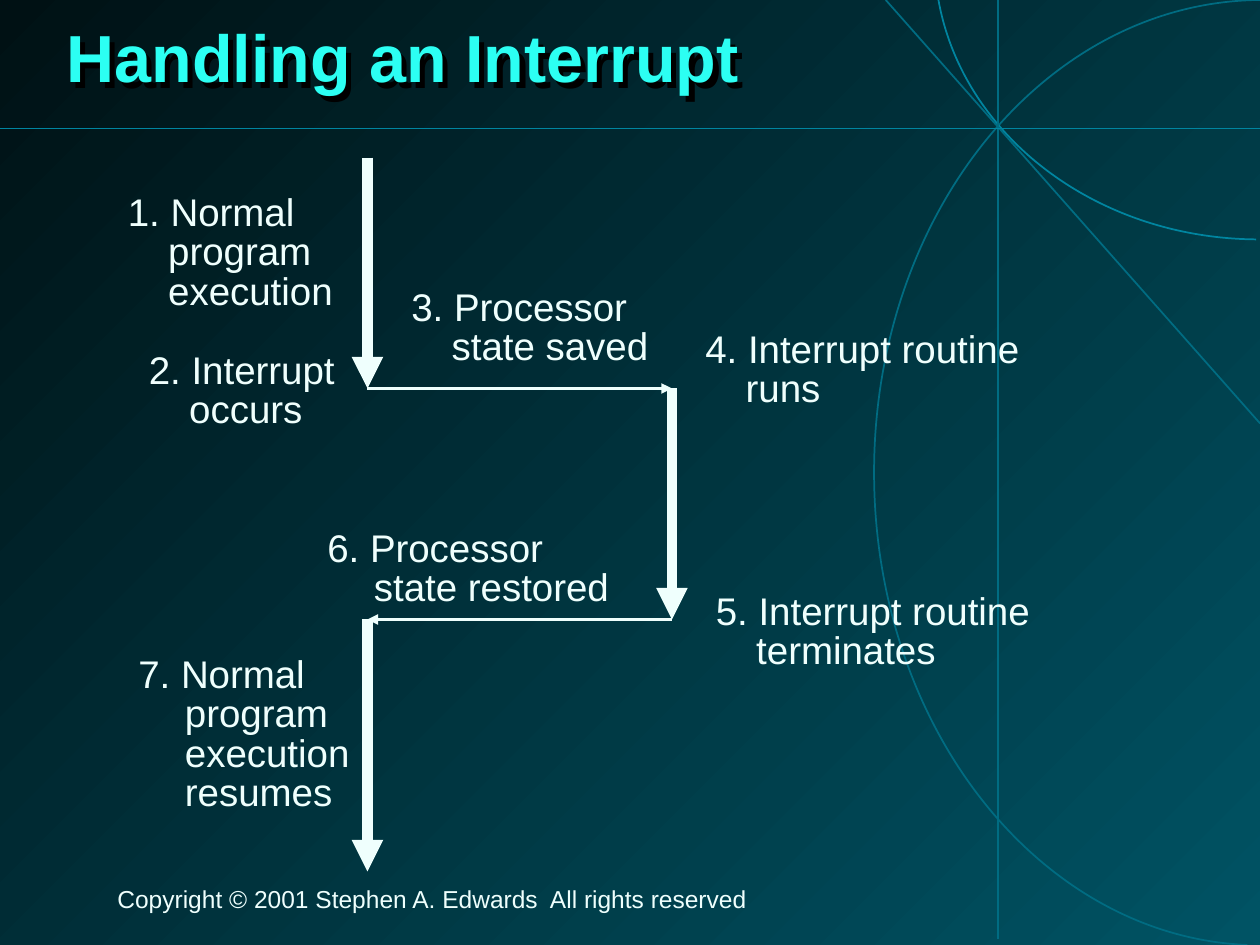
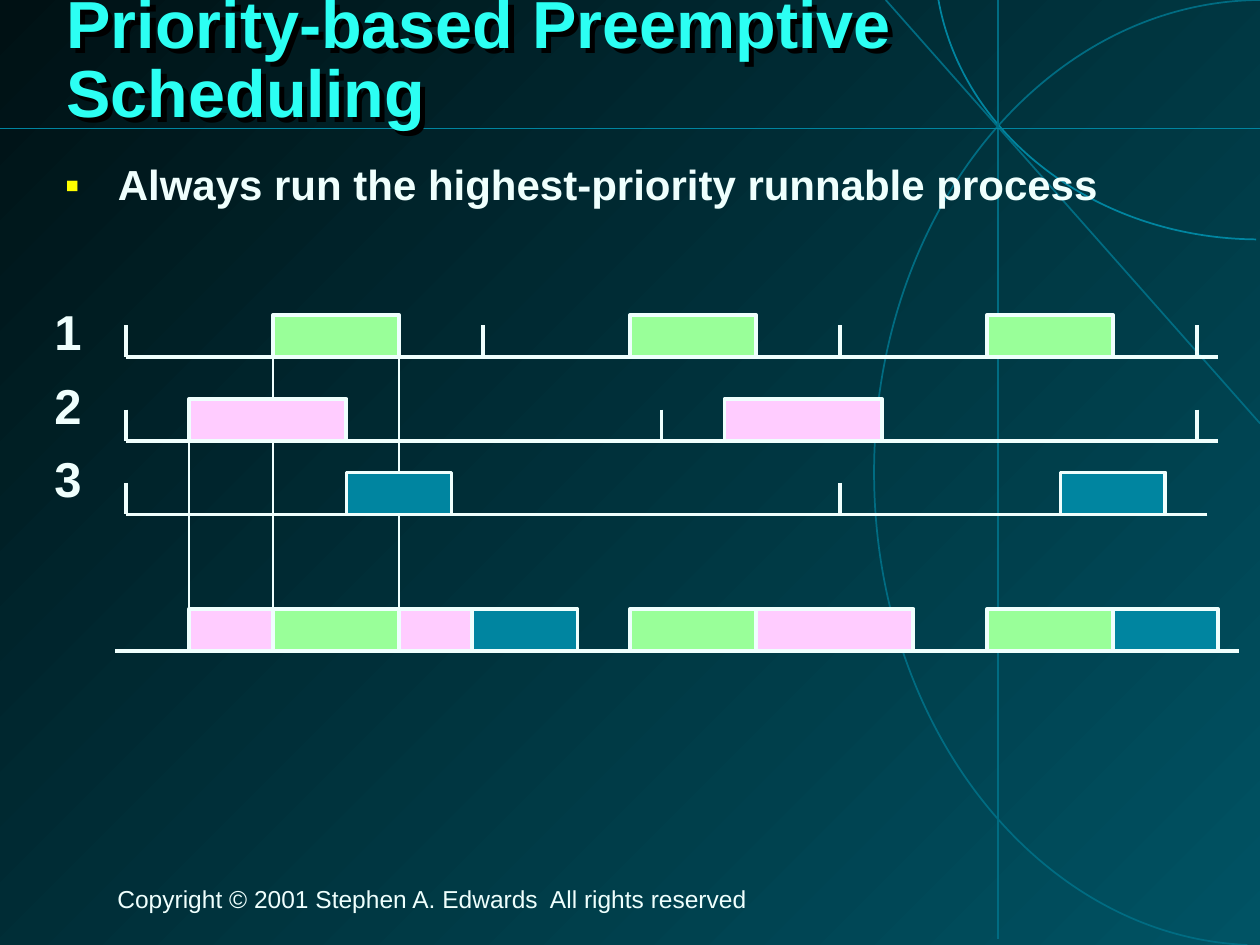
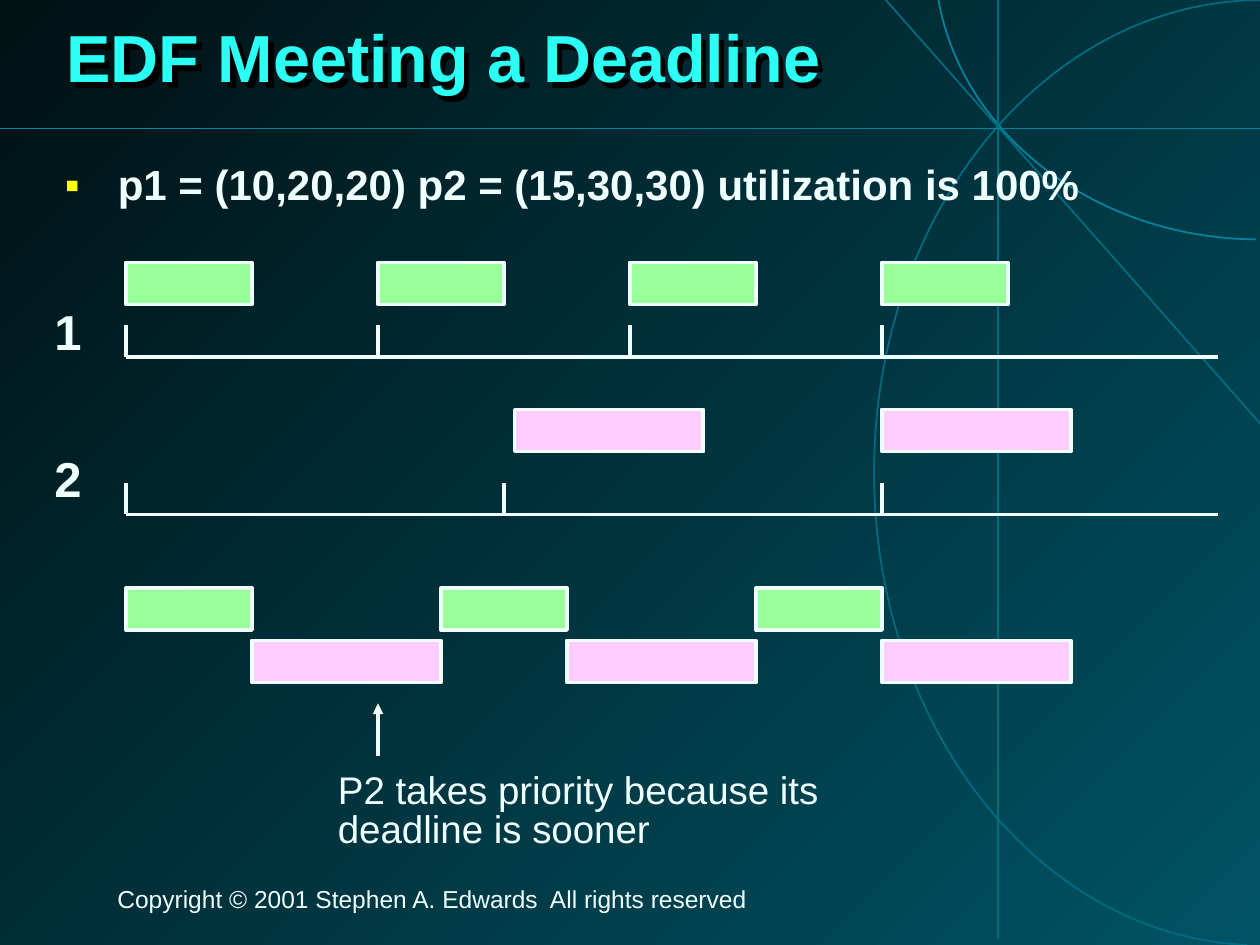
from dataclasses import dataclass

from lxml import etree
from pptx import Presentation
from pptx.dml.color import RGBColor
from pptx.enum.shapes import MSO_CONNECTOR, MSO_SHAPE
from pptx.enum.text import MSO_ANCHOR, MSO_AUTO_SIZE
from pptx.oxml.ns import qn
from pptx.presentation import Presentation as Deck
from pptx.slide import Slide
from pptx.util import Emu, Inches, Pt

STRAIGHT = MSO_CONNECTOR.STRAIGHT
RECTANGLE = MSO_SHAPE.RECTANGLE
MIDDLE, TOP = MSO_ANCHOR.MIDDLE, MSO_ANCHOR.TOP
GROW, FIXED = MSO_AUTO_SIZE.SHAPE_TO_FIT_TEXT, MSO_AUTO_SIZE.NONE

SLIDE_WIDTH, SLIDE_HEIGHT = Inches(10), Inches(7.5)
COLUMNS = 120
CELL = SLIDE_WIDTH / COLUMNS

FONT = "Arial"
INK, CYAN, YELLOW, BLACK = "EFFFFD", "2CFFF3", "FFFF00", "000000"
DARK, DEEP = "001114", "005364"
DIM, TEAL = "006C82", "0085A0"
GREEN, PINK = "99FF99", "FFCCFF"

THIN, RULE, ARROW, HEAVY = 1, 2.25, 2, 6
BLOCK_ROWS, TICK_ROWS = 4, 3
FIRST_TICK = 12
COPYRIGHT = "Copyright © 2001 Stephen A. Edwards  All rights reserved"


@dataclass(frozen=True)
class Box:
    col: float
    row: float
    cols: float
    rows: float


@dataclass(frozen=True)
class TextStyle:
    size: float
    color: str = INK
    bold: bool = False
    spacing: float = 0.85
    before: float = 0
    hanging: float = 0
    bullet: str = ""
    anchor: MSO_ANCHOR = TOP
    fit: MSO_AUTO_SIZE = GROW


@dataclass(frozen=True)
class Line:
    start: tuple[float, float]
    end: tuple[float, float]
    width: float = RULE
    color: str = INK
    arrow: bool = False


@dataclass(frozen=True)
class Curve:
    points: tuple[tuple[float, float], ...]
    color: str


@dataclass(frozen=True)
class Step:
    text: str
    col: float
    row: float
    cols: float
    lines: int = 2
    hanging: float = 0.32


@dataclass(frozen=True)
class Block:
    col: float
    row: float
    cols: float
    color: str


@dataclass(frozen=True)
class Lane:
    label: str
    label_row: float
    baseline: float
    end: float
    ticks: range
    blocks: tuple[Block, ...]


TITLE = TextStyle(38, CYAN, True, spacing=0.87, anchor=MIDDLE, fit=FIXED)
BODY = TextStyle(24, bold=True, spacing=0.93, before=15, hanging=0.42, bullet="▪", fit=FIXED)
FOOTER = TextStyle(14, before=8.8)
LABEL = TextStyle(28, bold=True, before=17.5)
NOTE_SIZE, NOTE_BEFORE = 22, 13.8

TITLE_BOX = Box(5.16, 0, 110.52, 11.8)
BODY_BOX = Box(5, 14.95, 109.44, 67)
FOOTER_BOX = Box(10, 84, 97, 3.6)

BACKDROP_CURVES = (
    Curve(((118.8, 90), (99, 89.16), (83.25, 69.24), (83.25, 45),
           (83.25, 20.16), (99.72, 0), (120.24, 0)), DIM),
    Curve(((119.64, 22.8), (104.28, 22.68), (91.32, 12.72), (89.28, -0.6)), TEAL),
)
BACKDROP_LINES = (
    Line((120, 40.32), (84.36, 0), THIN, DIM),
    Line((95.05, 0), (95.05, 89.4), THIN, DIM),
    Line((0, 12.25), (120, 12.25), THIN, TEAL),
)

PROGRAM, ROUTINE = 35, 64
INTERRUPTED, RESUMED = 37, 59
FLOW = (
    Line((PROGRAM, 15), (PROGRAM, INTERRUPTED), HEAVY, arrow=True),
    Line((PROGRAM, RESUMED), (PROGRAM, 83), HEAVY, arrow=True),
    Line((ROUTINE, INTERRUPTED), (ROUTINE, RESUMED), HEAVY, arrow=True),
    Line((PROGRAM, INTERRUPTED), (ROUTINE, INTERRUPTED), ARROW, arrow=True),
    Line((ROUTINE, RESUMED), (PROGRAM, RESUMED), ARROW, arrow=True),
)
STEPS = (
    Step("1. Normal program execution", 11, 18, 28, lines=3),
    Step("2. Interrupt occurs", 13, 33, 22),
    Step("3. Processor state saved", 38, 27, 28),
    Step("4. Interrupt routine runs", 66, 31, 35),
    Step("5. Interrupt routine terminates", 67, 56, 34),
    Step("6. Processor state restored", 30, 50, 30, hanging=0.37),
    Step("7. Normal program execution resumes", 12, 62, 24, lines=4, hanging=0.37),
)


def every(period: int, stop: int = 115) -> range:
    return range(FIRST_TICK, stop, period)


def run_blocks(cols: tuple[int, ...] | range, row: float, width: float, color: str) -> tuple[Block, ...]:
    return tuple(Block(col, row, width, color) for col in cols)


PREEMPTIVE_LANES = (
    Lane("1", 29, 34, 116, every(34), run_blocks(range(26, 95, 34), 30, 12, GREEN)),
    Lane("2", 36, 42, 116, every(51), run_blocks((18, 69), 38, 15, PINK)),
    Lane("3", 43, 49, 115, every(68), run_blocks((33, 101), 45, 10, TEAL)),
)
SCHEDULE_ROW = 58
SCHEDULE_BASE = SCHEDULE_ROW + BLOCK_ROWS
PREEMPTIVE_SCHEDULE = (
    *run_blocks((18, 72), SCHEDULE_ROW, 15, PINK),
    *run_blocks((38,), SCHEDULE_ROW, 7, PINK),
    *run_blocks((26, 60, 94), SCHEDULE_ROW, 12, GREEN),
    *run_blocks((45, 106), SCHEDULE_ROW, 10, TEAL),
)
SWITCHES = (
    Line((18, 41), (18, 61), THIN),
    Line((26, 34), (26, SCHEDULE_ROW), THIN),
    Line((38, 34), (38, SCHEDULE_ROW), THIN),
)

EDF_LANES = (
    Lane("1", 29, 34, 116, every(24, 85), run_blocks(every(24, 85), 25, 12, GREEN)),
    Lane("2", 43, 49, 116, every(36, 85), run_blocks((49, 84), 39, 18, PINK)),
)
EDF_SCHEDULE = (
    *run_blocks(every(30, 73), 56, 12, GREEN),
    *run_blocks(range(24, 85, 30), 61, 18, PINK),
)


def rgb(value: str) -> RGBColor:
    return RGBColor.from_string(value)


def cells(count: float) -> Emu:
    return Emu(round(count * CELL))


def add_text(slide: Slide, text: str, box: Box, style: TextStyle):
    holder = slide.shapes.add_textbox(*map(cells, (box.col, box.row, box.cols, box.rows)))
    frame = holder.text_frame
    frame.word_wrap = True
    frame.auto_size = style.fit
    frame.vertical_anchor = style.anchor
    paragraph = frame.paragraphs[0]
    paragraph.line_spacing = style.spacing
    paragraph.space_before = Pt(style.before)
    properties = paragraph._p.get_or_add_pPr()
    if style.hanging:
        properties.set("marL", str(Inches(style.hanging)))
        properties.set("indent", str(-Inches(style.hanging)))
    if style.bullet:
        tint = etree.SubElement(properties, qn("a:buClr"))
        etree.SubElement(tint, qn("a:srgbClr"), val=YELLOW)
        etree.SubElement(properties, qn("a:buFont"), typeface=FONT)
        etree.SubElement(properties, qn("a:buChar"), char=style.bullet)
    run = paragraph.add_run()
    run.text = text
    run.font.name = FONT
    run.font.size = Pt(style.size)
    run.font.bold = style.bold
    run.font.color.rgb = rgb(style.color)
    return holder


def add_line(slide: Slide, line: Line) -> None:
    connector = slide.shapes.add_connector(STRAIGHT, *map(cells, (*line.start, *line.end)))
    connector.line.color.rgb = rgb(line.color)
    connector.line.width = Pt(line.width)
    if line.arrow:
        etree.SubElement(connector.line._get_or_add_ln(), qn("a:tailEnd"), type="triangle")
    etree.SubElement(connector._element.spPr, qn("a:effectLst"))


def add_curve(slide: Slide, curve: Curve) -> None:
    start, *controls = [(cells(col), cells(row)) for col, row in curve.points]
    builder = slide.shapes.build_freeform(*start)
    builder.add_line_segments(controls, close=False)
    arc = builder.convert_to_shape()
    segments = list(arc._element.iter(qn("a:lnTo")))
    for first in range(0, len(segments), 3):
        bezier = etree.SubElement(segments[first].getparent(), qn("a:cubicBezTo"))
        for segment in segments[first:first + 3]:
            bezier.append(segment[0])
            segment.getparent().remove(segment)
    arc.shadow.inherit = False
    arc.fill.background()
    arc.line.color.rgb = rgb(curve.color)
    arc.line.width = Pt(THIN)


def add_block(slide: Slide, block: Block) -> None:
    bar = slide.shapes.add_shape(RECTANGLE, *map(cells, (block.col, block.row, block.cols, BLOCK_ROWS)))
    bar.shadow.inherit = False
    bar.fill.solid()
    bar.fill.fore_color.rgb = rgb(block.color)
    bar.line.color.rgb = rgb(INK)
    bar.line.width = Pt(RULE)


def add_note(slide: Slide, step: Step) -> None:
    box = Box(step.col, step.row, step.cols, 1.32 + 3.72 * step.lines)
    add_text(slide, step.text, box, TextStyle(NOTE_SIZE, before=NOTE_BEFORE, hanging=step.hanging))


def add_lanes(slide: Slide, lanes: tuple[Lane, ...]) -> None:
    for lane in lanes:
        add_line(slide, Line((lane.end, lane.baseline), (FIRST_TICK, lane.baseline)))
        for tick in lane.ticks:
            add_line(slide, Line((tick, lane.baseline - TICK_ROWS), (tick, lane.baseline)))
        for block in lane.blocks:
            add_block(slide, block)
        add_text(slide, lane.label, Box(4, lane.label_row, 7, 6), LABEL)


def add_title(slide: Slide, text: str) -> None:
    heading = add_text(slide, text, TITLE_BOX, TITLE)
    effects = etree.SubElement(heading._element.spPr, qn("a:effectLst"))
    shadow = etree.SubElement(effects, qn("a:outerShdw"), dist=str(Inches(0.06)), dir="2700000")
    etree.SubElement(shadow, qn("a:srgbClr"), val=BLACK)


def start_slide(deck: Deck, title: str) -> Slide:
    slide = deck.slides.add_slide(deck.slide_layouts[6])
    backdrop = slide.background.fill
    backdrop.gradient()
    backdrop.gradient_angle = 315
    for stop, color in zip(backdrop.gradient_stops, (DARK, DEEP)):
        stop.color.rgb = rgb(color)
    for curve in BACKDROP_CURVES:
        add_curve(slide, curve)
    for line in BACKDROP_LINES:
        add_line(slide, line)
    add_text(slide, COPYRIGHT, FOOTER_BOX, FOOTER)
    add_title(slide, title)
    return slide


def build_interrupt(deck: Deck) -> None:
    slide = start_slide(deck, "Handling an Interrupt")
    for line in FLOW:
        add_line(slide, line)
    for step in STEPS:
        add_note(slide, step)


def build_preemptive(deck: Deck) -> None:
    slide = start_slide(deck, "Priority-based Preemptive Scheduling")
    add_text(slide, "Always run the highest-priority runnable process", BODY_BOX, BODY)
    for switch in SWITCHES:
        add_line(slide, switch)
    add_lanes(slide, PREEMPTIVE_LANES)
    add_line(slide, Line((118, SCHEDULE_BASE), (11, SCHEDULE_BASE)))
    for block in PREEMPTIVE_SCHEDULE:
        add_block(slide, block)


def build_edf(deck: Deck) -> None:
    slide = start_slide(deck, "EDF Meeting a Deadline")
    add_text(slide, "p1 = (10,20,20) p2 = (15,30,30) utilization is 100%", BODY_BOX, BODY)
    add_lanes(slide, EDF_LANES)
    for block in EDF_SCHEDULE:
        add_block(slide, block)
    add_line(slide, Line((36, 72), (36, 67), ARROW, arrow=True))
    add_note(slide, Step("P2 takes priority because its deadline is sooner", 31, 73, 52, hanging=0))


def main() -> None:
    deck = Presentation()
    deck.slide_width, deck.slide_height = SLIDE_WIDTH, SLIDE_HEIGHT
    build_interrupt(deck)
    build_preemptive(deck)
    build_edf(deck)
    deck.save("out.pptx")


if __name__ == "__main__":
    main()
